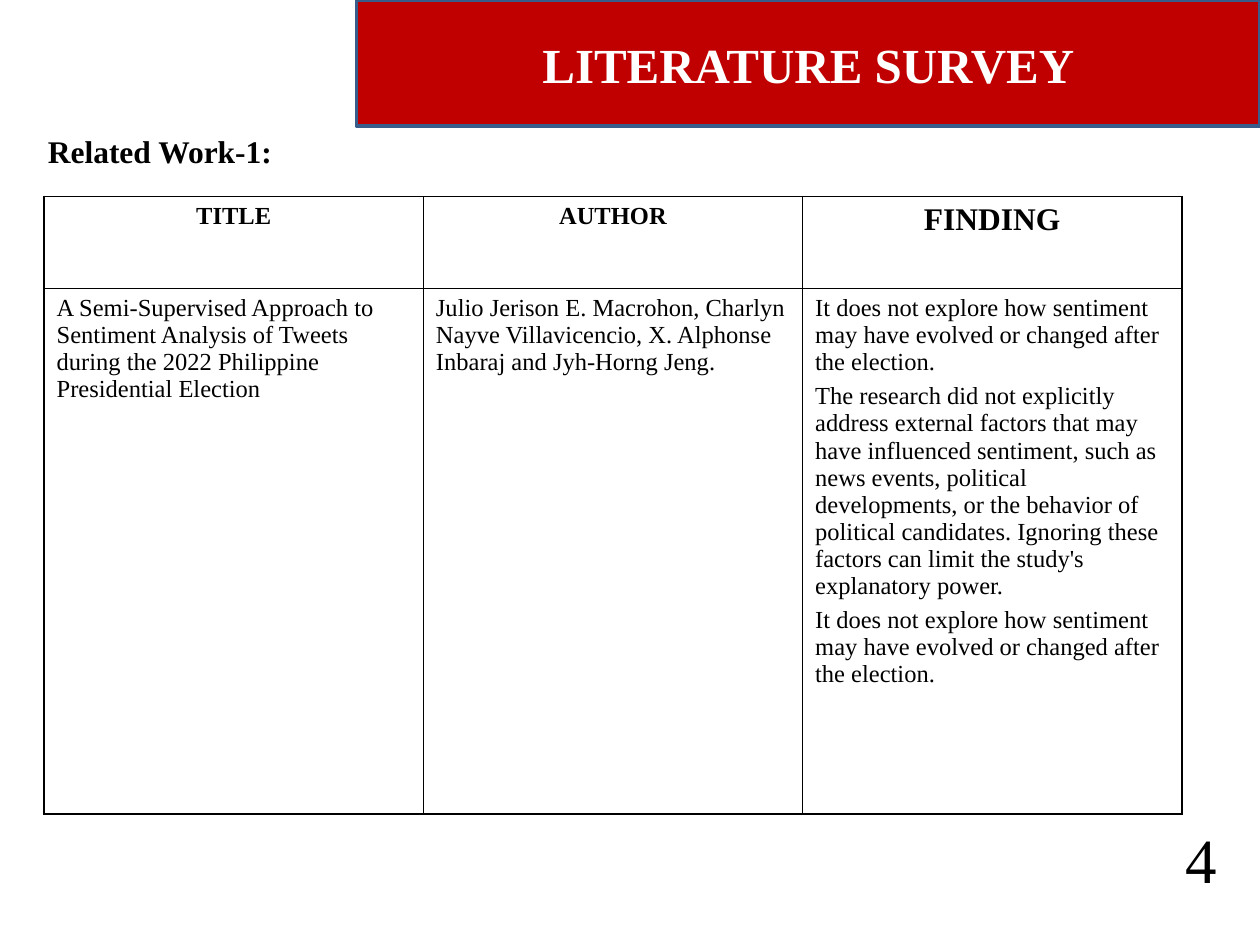
from dataclasses import dataclass

import lxml.etree
import pptx
import pptx.dml.color
import pptx.enum.shapes
import pptx.enum.text
import pptx.oxml.ns
import pptx.slide
import pptx.table
import pptx.text.text
import pptx.util

Inches = pptx.util.Inches
Pt = pptx.util.Pt
RGBColor = pptx.dml.color.RGBColor
Align = pptx.enum.text.PP_ALIGN
Anchor = pptx.enum.text.MSO_ANCHOR

FONT = "Times New Roman"
WHITE = RGBColor(0xFF, 0xFF, 0xFF)
BLACK = RGBColor(0x00, 0x00, 0x00)
BANNER_RED = RGBColor(0xC0, 0x00, 0x00)
BANNER_EDGE = RGBColor(0x38, 0x5D, 0x8A)

COLUMN_WIDTH = 3.01
ROW_HEIGHTS = (0.73, 4.17)


@dataclass(frozen=True)
class Box:
    left: float
    top: float
    width: float
    height: float

    def lengths(self) -> tuple:
        return tuple(Inches(v) for v in (self.left, self.top, self.width, self.height))


@dataclass(frozen=True)
class Column:
    heading: str
    heading_size: int
    paragraphs: tuple[str, ...]
    space_before: int = 0


NO_LATER_TREND = "It does not explore how sentiment may have evolved or changed after the election."
COLUMNS = (
    Column("TITLE", 14, (
        "A Semi-Supervised Approach to Sentiment Analysis of Tweets",
        "during the 2022 Philippine Presidential Election",
    )),
    Column("AUTHOR", 14, (
        "Julio Jerison E. Macrohon, Charlyn Nayve Villavicencio, "
        "X. Alphonse Inbaraj and Jyh-Horng Jeng.",
    )),
    Column("FINDING", 18, (
        NO_LATER_TREND,
        "The research did not explicitly address external factors that may have "
        "influenced sentiment, such as news events, political developments, or the "
        "behavior of political candidates. Ignoring these factors can limit the "
        "study's explanatory power.",
        NO_LATER_TREND,
    ), space_before=4),
)


def write_text(frame: pptx.text.text.TextFrame, *texts: str, size: int,
               bold: bool = False, color: RGBColor = BLACK,
               align: Align = Align.LEFT, space_before: int = 0) -> None:
    """Write each text as one paragraph of the frame."""
    for index, text in enumerate(texts):
        paragraph = frame.add_paragraph() if index else frame.paragraphs[0]
        paragraph.alignment = align
        paragraph.space_before = Pt(space_before)
        run = paragraph.add_run()
        run.text = text
        run.font.name = FONT
        run.font.size = Pt(size)
        run.font.bold = bold
        run.font.color.rgb = color


def add_text_box(slide: pptx.slide.Slide, box: Box, text: str, *, wrap: bool = True,
                 inset: float | None = None, anchor: Anchor = Anchor.TOP,
                 **text_format) -> None:
    frame = slide.shapes.add_textbox(*box.lengths()).text_frame
    frame.word_wrap = wrap
    frame.vertical_anchor = anchor
    if inset is not None:
        frame.margin_left = frame.margin_right = Inches(inset)
        frame.margin_top = frame.margin_bottom = Inches(inset)
    write_text(frame, text, **text_format)


def add_banner(slide: pptx.slide.Slide, box: Box) -> None:
    banner = slide.shapes.add_shape(
        pptx.enum.shapes.MSO_SHAPE.RECTANGLE, *box.lengths())
    banner.shadow.inherit = False
    banner.fill.solid()
    banner.fill.fore_color.rgb = BANNER_RED
    banner.line.color.rgb = BANNER_EDGE
    banner.line.width = Pt(2)


def set_borders(cell: pptx.table._Cell, color: RGBColor, width: float) -> None:
    qn = pptx.oxml.ns.qn
    properties = cell._tc.get_or_add_tcPr()
    for index, side in enumerate(("lnL", "lnR", "lnT", "lnB")):
        line = lxml.etree.Element(qn(f"a:{side}"), w=str(Pt(width)))
        fill = lxml.etree.SubElement(line, qn("a:solidFill"))
        lxml.etree.SubElement(fill, qn("a:srgbClr"), val=str(color))
        properties.insert(index, line)


def add_survey_table(slide: pptx.slide.Slide, left: float, top: float) -> None:
    box = Box(left, top, COLUMN_WIDTH * len(COLUMNS), sum(ROW_HEIGHTS))
    table = slide.shapes.add_table(
        len(ROW_HEIGHTS), len(COLUMNS), *box.lengths()).table
    table.first_row = table.horz_banding = False
    for row, height in zip(table.rows, ROW_HEIGHTS):
        row.height = Inches(height)
    for index, column in enumerate(COLUMNS):
        table.columns[index].width = Inches(COLUMN_WIDTH)
        heading, body = table.cell(0, index), table.cell(1, index)
        write_text(heading.text_frame, column.heading, size=column.heading_size,
                   bold=True, align=Align.CENTER)
        write_text(body.text_frame, *column.paragraphs, size=14,
                   space_before=column.space_before)
        for cell in (heading, body):
            cell.fill.background()
            set_borders(cell, BLACK, 1)


def main() -> None:
    presentation = pptx.Presentation()
    presentation.slide_width = Inches(10)
    presentation.slide_height = Inches(7.5)
    slide = presentation.slides.add_slide(presentation.slide_layouts[6])

    add_banner(slide, Box(2.83, 0, 7.17, 1))
    add_text_box(slide, Box(2.83, 0.24, 7.17, 0.53), "LITERATURE SURVEY", inset=0.05,
                 anchor=Anchor.MIDDLE, size=28, bold=True, color=WHITE,
                 align=Align.CENTER)
    add_text_box(slide, Box(0.33, 1, 9.08, 0.44), "Related Work-1:", inset=0.05,
                 size=18, bold=True)
    add_survey_table(slide, 0.35, 1.56)
    add_text_box(slide, Box(9.31, 6.46, 0.45, 0.71), "4", wrap=False, size=36,
                 align=Align.CENTER)

    presentation.save("out.pptx")


if __name__ == "__main__":
    main()
